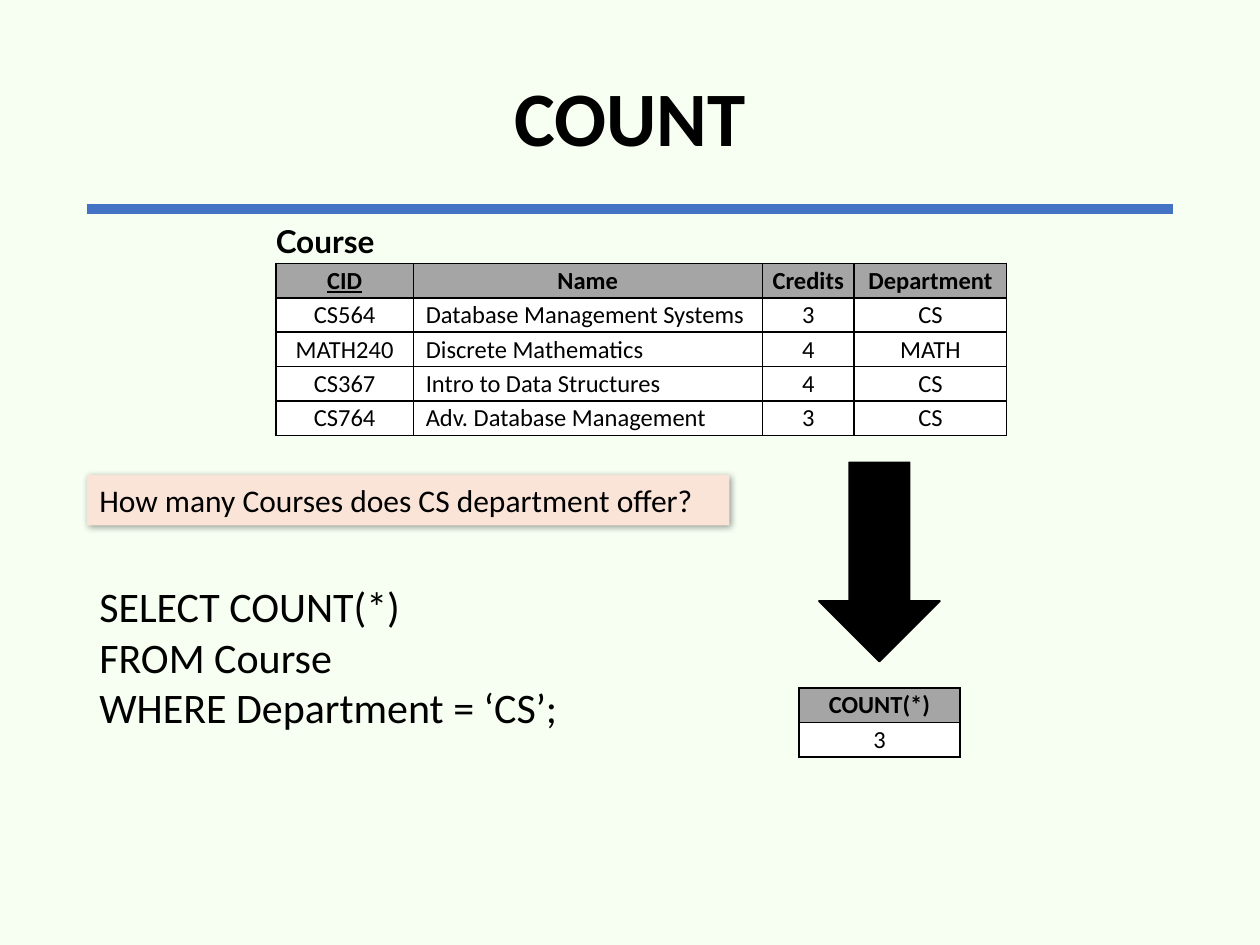
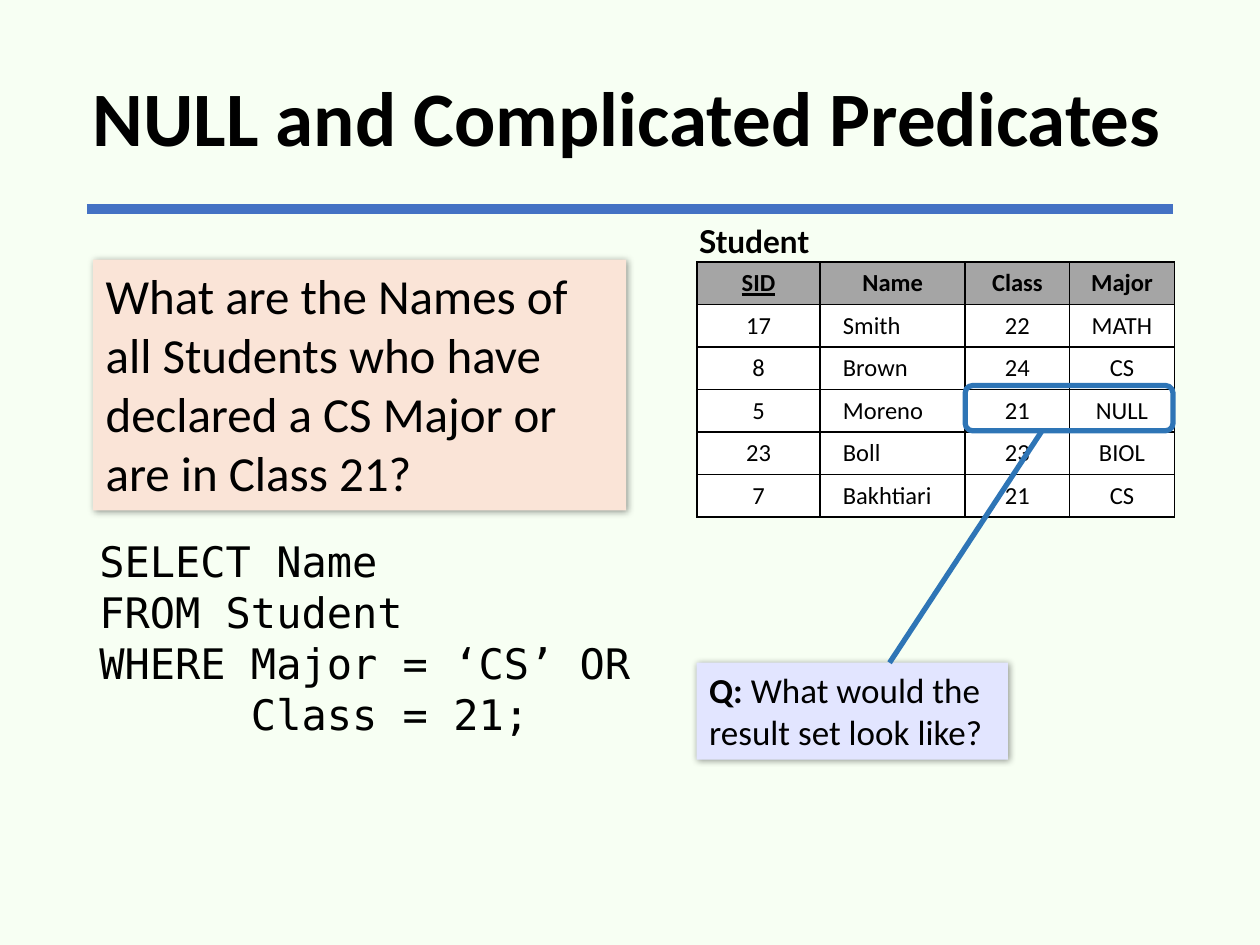
from lxml import etree
from pptx import Presentation
from pptx.dml.color import RGBColor
from pptx.enum import shapes, text
from pptx.oxml import ns
from pptx.util import Inches, Pt

BACKGROUND, RULE, HEADER = "F7FFF3", "4472C4", "A5A5A5"
BLACK, WHITE = "000000", "FFFFFF"
QUESTION, QUIZ, HIGHLIGHT = "FAE4D7", "E2E5FF", "2E75B6"
BODY_FONT, LABEL_FONT, CODE_FONT = "Calibri", "Lato", "DejaVu Sans Mono"
LEFT, RIGHT, RULE_Y, LABEL_Y = 0.69, 9.31, 1.66, 1.71
CELL_INSET = 0.02

COURSES = [
    ["CID", "Name", "Credits", "Department"],
    ["CS564", "Database Management Systems", "3", "CS"],
    ["MATH240", "Discrete Mathematics", "4", "MATH"],
    ["CS367", "Intro to Data Structures", "4", "CS"],
    ["CS764", "Adv. Database Management", "3", "CS"],
]
STUDENTS = [
    ["SID", "Name", "Class", "Major"],
    ["17", "Smith", "22", "MATH"],
    ["8", "Brown", "24", "CS"],
    ["5", "Moreno", "21", "NULL"],
    ["23", "Boll", "23", "BIOL"],
    ["7", "Bakhtiari", "21", "CS"],
]


def color(value):
    return RGBColor.from_string(value)


def inches(*values):
    return [Inches(value) for value in values]


def add_xml(parent, tag, **attributes):
    return etree.SubElement(parent, ns.qn(tag), attributes)


class Deck:
    """The shared style and the slide being built."""

    def __init__(self):
        self.prs = Presentation()
        self.prs.slide_width, self.prs.slide_height = inches(10, 7.5)
        fill = self.prs.slide_master.background.fill
        fill.solid()
        fill.fore_color.rgb = color(BACKGROUND)
        self.slide = None

    def add_words(self, paragraph, words, size, **formats):
        run = paragraph.add_run()
        run.text = words
        values = {"name": BODY_FONT, "size": Pt(size), "bold": False} | formats
        for key, value in values.items():
            setattr(run.font, key, value)
        run.font.color.rgb = color(BLACK)

    def new_slide(self, heading, left=LEFT, width=RIGHT - LEFT):
        self.slide = self.prs.slides.add_slide(self.prs.slide_layouts[5])
        title = self.slide.shapes.title
        title.left, title.top, title.width, title.height = inches(left, 0.24, width, 1.45)
        frame = title.text_frame
        frame.auto_size = text.MSO_AUTO_SIZE.NONE
        frame.vertical_anchor = text.MSO_ANCHOR.MIDDLE
        paragraph = frame.paragraphs[0]
        paragraph.alignment = text.PP_ALIGN.CENTER
        paragraph.line_spacing = 0.9
        self.add_words(paragraph, heading, 44, bold=True)
        self.line((LEFT, RULE_Y), (RIGHT, RULE_Y), RULE, 6)

    def line(self, start, end, stroke, weight):
        connector = self.slide.shapes.add_connector(
            shapes.MSO_CONNECTOR.STRAIGHT, *inches(*start, *end))
        connector.line.color.rgb = color(stroke)
        connector.line.width = Pt(weight)
        add_xml(connector.element.spPr, "a:effectLst")

    def shape(self, kind, place, fill=None, stroke=None, weight=1):
        item = self.slide.shapes.add_shape(kind, *inches(*place))
        item.shadow.inherit = False
        if fill:
            item.fill.solid()
            item.fill.fore_color.rgb = color(fill)
        else:
            item.fill.background()
        if stroke:
            item.line.color.rgb = color(stroke)
            item.line.width = Pt(weight)
        else:
            item.line.fill.background()
        return item

    def callout(self, place, fill, size, *parts):
        """Shadowed box; each part is a pair of words and boldness."""
        box = self.shape(shapes.MSO_SHAPE.RECTANGLE, place, fill)
        effects = box.element.spPr.find(ns.qn("a:effectLst"))
        shadow = add_xml(effects, "a:outerShdw", blurRad=str(Pt(4)), dist=str(Pt(1)),
                         dir="2700000", algn="tl", rotWithShape="0")
        tint = add_xml(shadow, "a:srgbClr", val=BLACK)
        add_xml(tint, "a:alpha", val="40000")
        frame = box.text_frame
        frame.word_wrap = True
        frame.vertical_anchor = text.MSO_ANCHOR.TOP
        paragraph = frame.paragraphs[0]
        paragraph.alignment = text.PP_ALIGN.LEFT
        for words, bold in parts:
            self.add_words(paragraph, words, size, bold=bold)

    def text_box(self, place, lines, size, wrap=True, spacing=None, **formats):
        frame = self.slide.shapes.add_textbox(*inches(*place)).text_frame
        frame.word_wrap = wrap
        for index, words in enumerate(lines):
            paragraph = frame.add_paragraph() if index else frame.paragraphs[0]
            paragraph.line_spacing = spacing
            self.add_words(paragraph, words, size, **formats)

    def table_label(self, left, width, name):
        self.text_box((left, LABEL_Y, width, 0.4), [name], 18, wrap=False,
                      name=LABEL_FONT, bold=True)

    def table(self, left, top, widths, row_height, rows, inset=None, keyed=True):
        """Bordered grid; a keyed one underlines its first heading and indents names."""
        grid = self.slide.shapes.add_table(
            len(rows), len(widths),
            *inches(left, top, sum(widths), row_height * len(rows))).table
        grid.first_row = grid.horz_banding = False
        for column, width in zip(grid.columns, widths):
            column.width = Inches(width)
        for r, values in enumerate(rows):
            grid.rows[r].height = Inches(row_height)
            for c, value in enumerate(values):
                self.cell(grid.cell(r, c), value, inset, heading=r == 0,
                          key=keyed and r == c == 0, indented=r > 0 and c == 1)

    def cell(self, cell, value, inset, heading, key, indented):
        if inset is not None:
            for side in ("left", "right", "top", "bottom"):
                setattr(cell, f"margin_{side}", Inches(inset))
        for side in "LRTB":
            border = add_xml(cell._tc.get_or_add_tcPr(), f"a:ln{side}", w=str(Pt(1)))
            add_xml(add_xml(border, "a:solidFill"), "a:srgbClr", val=BLACK)
        cell.fill.solid()
        cell.fill.fore_color.rgb = color(HEADER if heading else WHITE)
        paragraph = cell.text_frame.paragraphs[0]
        if indented:
            paragraph._p.get_or_add_pPr().set("marL", str(Inches(0.08)))
        else:
            paragraph.alignment = text.PP_ALIGN.CENTER
        self.add_words(paragraph, value, 14, bold=heading, underline=key)


def count_slide(deck):
    deck.new_slide("COUNT")
    deck.text_box((LEFT, 4.56, 4.26, 1.38),
                  ["SELECT COUNT(*)", "FROM Course", "WHERE Department = ‘CS’;"], 24)
    deck.shape(shapes.MSO_SHAPE.DOWN_ARROW, (6.5, 3.67, 0.96, 1.58), BLACK, BLACK)
    deck.table(2.19, 2.09, [1.09, 2.77, 0.73, 1.21], 0.27, COURSES, CELL_INSET)
    deck.table_label(2.09, 1.01, "Course")
    deck.table(6.34, 5.46, [1.28], 0.27, [["COUNT(*)"], ["3"]], CELL_INSET, keyed=False)
    deck.callout((LEFT, 3.77, 5.1, 0.4), QUESTION, 18,
                 ("How many Courses does CS department offer?", False))


def null_slide(deck):
    deck.new_slide("NULL and Complicated Predicates", 0.43, 9.1)
    deck.table(5.53, 2.08, [0.98, 1.15, 0.83, 0.83], 0.33, STUDENTS)
    deck.table_label(5.45, 1.08, "Student")
    deck.text_box((LEFT, 4.2, 4.47, 1.79),
                  ["SELECT Name", "FROM Student", "WHERE Major = ‘CS’ OR",
                   "      Class = 21;"], 24, spacing=Pt(29), name=CODE_FONT)
    deck.callout((0.74, 2.06, 4.23, 1.99), QUESTION, 28,
                 ("What are the Names of all Students who have declared a CS Major "
                  "or are in Class 21?", False))
    deck.callout((5.53, 5.26, 2.47, 0.77), QUIZ, 20,
                 ("Q: ", True), ("What would the result set look like?", False))
    deck.shape(shapes.MSO_SHAPE.ROUNDED_RECTANGLE, (7.66, 3.06, 1.65, 0.36),
               stroke=HIGHLIGHT, weight=3)
    deck.line((7.06, 5.26), (8.27, 3.42), HIGHLIGHT, 3)


def main():
    deck = Deck()
    count_slide(deck)
    null_slide(deck)
    deck.prs.save("out.pptx")


if __name__ == "__main__":
    main()
